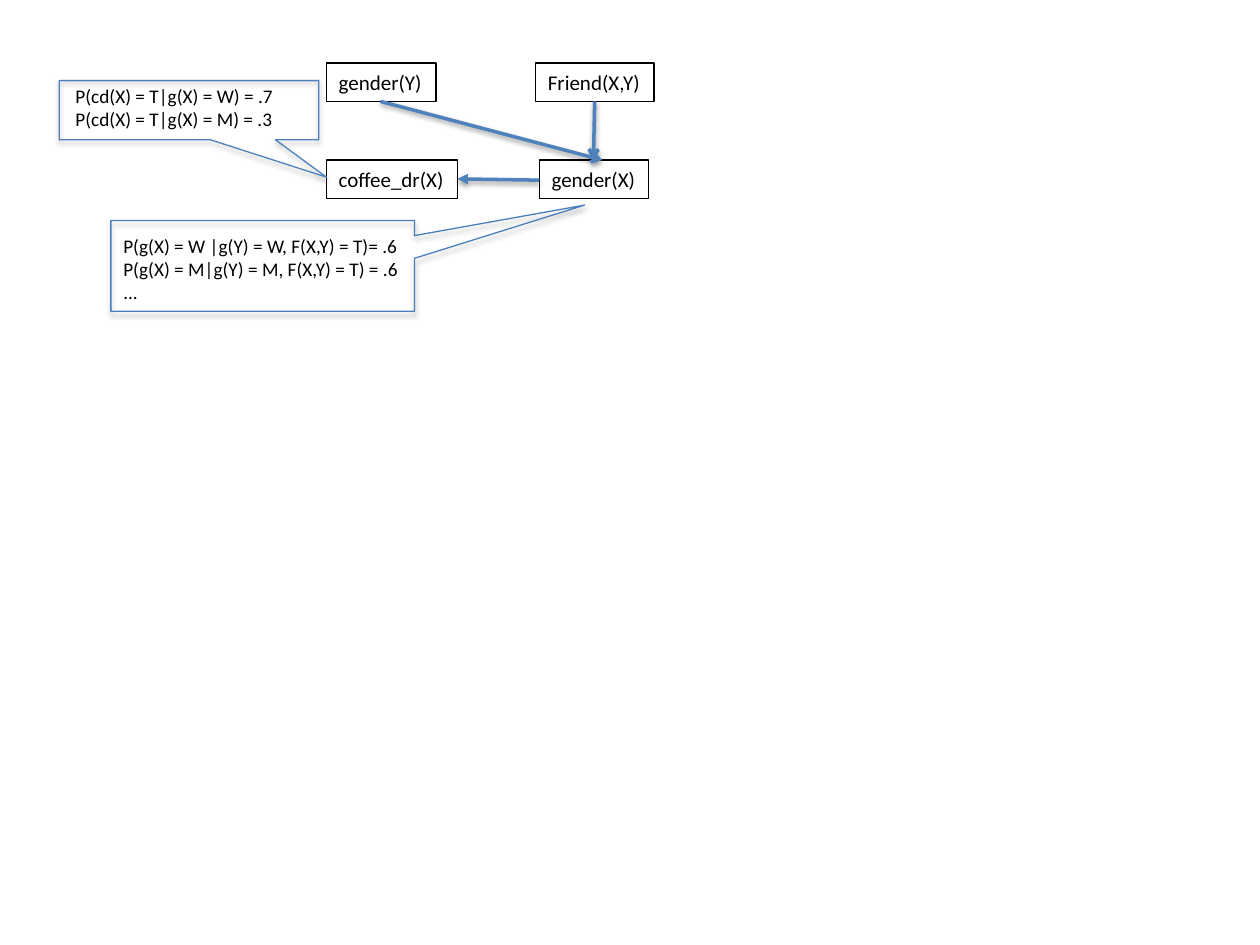
from typing import NamedTuple

import pptx
import pptx.dml.color
import pptx.enum.shapes
import pptx.enum.text
import pptx.oxml
import pptx.oxml.ns
import pptx.util

BLACK = pptx.dml.color.RGBColor(0x00, 0x00, 0x00)
BLUE = pptx.dml.color.RGBColor(0x4F, 0x81, 0xBD)
DARK_BLUE = pptx.dml.color.RGBColor(0x4B, 0x7E, 0xBC)
FONT = "Calibri"
COLUMNS, ROWS = 100, 75
SLIDE_WIDTH, SLIDE_HEIGHT = pptx.util.Inches(10), pptx.util.Inches(7.5)

TOP_ROW, BOTTOM_ROW, NODE_ROWS = 5, 12.7, 3.05
LEFT_COLUMN = 25.9


class Area(NamedTuple):
    column: float
    row: float
    columns: float
    rows: float


class Node(NamedTuple):
    label: str
    column: float
    row: float
    columns: float


class Arrow(NamedTuple):
    start: tuple[float, float]
    end: tuple[float, float]
    head: str


class Callout(NamedTuple):
    frame: Area
    text_area: Area
    lines: tuple[str, ...]
    pointer: tuple[float, float]
    color: pptx.dml.color.RGBColor


NODES = (
    Node("coffee_dr(X)", LEFT_COLUMN, BOTTOM_ROW, 10.4),
    Node("Friend(X,Y)", 42.5, TOP_ROW, 9.4),
    Node("gender(X)", 42.8, BOTTOM_ROW, 8.7),
    Node("gender(Y)", LEFT_COLUMN, TOP_ROW, 8.7),
)
ARROWS = (
    Arrow((47.2, TOP_ROW + NODE_ROWS), (47.1, BOTTOM_ROW), "arrow"),
    Arrow((42.8, 14.3), (36.3, 14.2), "triangle"),
    Arrow((30.2, TOP_ROW + NODE_ROWS), (47.8, BOTTOM_ROW), "arrow"),
)
CALLOUTS = (
    Callout(
        Area(8.8, 17.5, 24.1, 7.2),
        Area(8.8, 18.1, 31.1, 6.6),
        (
            "P(g(X) = W |g(Y) = W, F(X,Y) = T)= .6",
            "P(g(X) = M|g(Y) = M, F(X,Y) = T) = .6",
            "...",
        ),
        (1.06, -0.67),
        DARK_BLUE,
    ),
    Callout(
        Area(4.7, 6.4, 20.6, 4.7),
        Area(5, 6.2, 24.1, 4.7),
        ("P(cd(X) = T|g(X) = W) = .7", "P(cd(X) = T|g(X) = M) = .3"),
        (0.53, 1.13),
        BLUE,
    ),
)


def across(columns: float) -> int:
    return round(SLIDE_WIDTH * columns / COLUMNS)


def down(rows: float) -> int:
    return round(SLIDE_HEIGHT * rows / ROWS)


def place(area: Area) -> tuple[int, int, int, int]:
    return across(area.column), down(area.row), across(area.columns), down(area.rows)


def add_shadow(shape, distance: float, opacity: int) -> None:
    effects = pptx.oxml.parse_xml(
        f'<a:effectLst {pptx.oxml.ns.nsdecls("a")}>'
        f'<a:outerShdw blurRad="{pptx.util.Pt(3.1)}" dist="{pptx.util.Pt(distance)}"'
        ' dir="5400000" rotWithShape="0"><a:srgbClr val="000000">'
        f'<a:alpha val="{opacity * 1000}"/></a:srgbClr></a:outerShdw></a:effectLst>'
    )
    shape._element.spPr.append(effects)


def write_lines(shape, lines: tuple[str, ...], size: int, wrap: bool) -> None:
    frame = shape.text_frame
    frame.text = "\n".join(lines)
    frame.word_wrap = wrap
    frame.auto_size = pptx.enum.text.MSO_AUTO_SIZE.SHAPE_TO_FIT_TEXT
    frame.vertical_anchor = pptx.enum.text.MSO_ANCHOR.TOP
    for paragraph in frame.paragraphs:
        paragraph.alignment = pptx.enum.text.PP_ALIGN.LEFT
        for run in paragraph.runs:
            run.font.name = FONT
            run.font.size = pptx.util.Pt(size)
            run.font.color.rgb = BLACK


def add_outline(slide, kind, area: Area, color: pptx.dml.color.RGBColor):
    shape = slide.shapes.add_shape(kind, *place(area))
    shape.fill.background()
    shape.line.color.rgb = color
    shape.line.width = pptx.util.Pt(0.75)
    return shape


def add_node(slide, node: Node) -> None:
    area = Area(node.column, node.row, node.columns, NODE_ROWS)
    shape = add_outline(slide, pptx.enum.shapes.MSO_SHAPE.RECTANGLE, area, BLACK)
    shape.shadow.inherit = False
    write_lines(shape, (node.label,), 12, False)


def add_arrow(slide, arrow: Arrow) -> None:
    connector = slide.shapes.add_connector(
        pptx.enum.shapes.MSO_CONNECTOR.STRAIGHT,
        across(arrow.start[0]),
        down(arrow.start[1]),
        across(arrow.end[0]),
        down(arrow.end[1]),
    )
    connector.line.color.rgb = BLUE
    connector.line.width = pptx.util.Pt(2)
    connector.line._get_or_add_ln().append(
        pptx.oxml.parse_xml(
            f'<a:tailEnd {pptx.oxml.ns.nsdecls("a")} type="{arrow.head}"/>'
        )
    )
    add_shadow(connector, 1.6, 38)


def add_callout(slide, callout: Callout) -> None:
    text_box = slide.shapes.add_textbox(*place(callout.text_area))
    write_lines(text_box, callout.lines, 11, True)
    shape = add_outline(
        slide,
        pptx.enum.shapes.MSO_SHAPE.RECTANGULAR_CALLOUT,
        callout.frame,
        callout.color,
    )
    for index, offset in enumerate(callout.pointer):
        shape.adjustments[index] = offset
    add_shadow(shape, 1.8, 35)


def main() -> None:
    presentation = pptx.Presentation()
    presentation.slide_width = SLIDE_WIDTH
    presentation.slide_height = SLIDE_HEIGHT
    slide = presentation.slides.add_slide(presentation.slide_layouts[6])
    for node in NODES:
        add_node(slide, node)
    for arrow in ARROWS:
        add_arrow(slide, arrow)
    for callout in CALLOUTS:
        add_callout(slide, callout)
    presentation.save("out.pptx")


if __name__ == "__main__":
    main()
